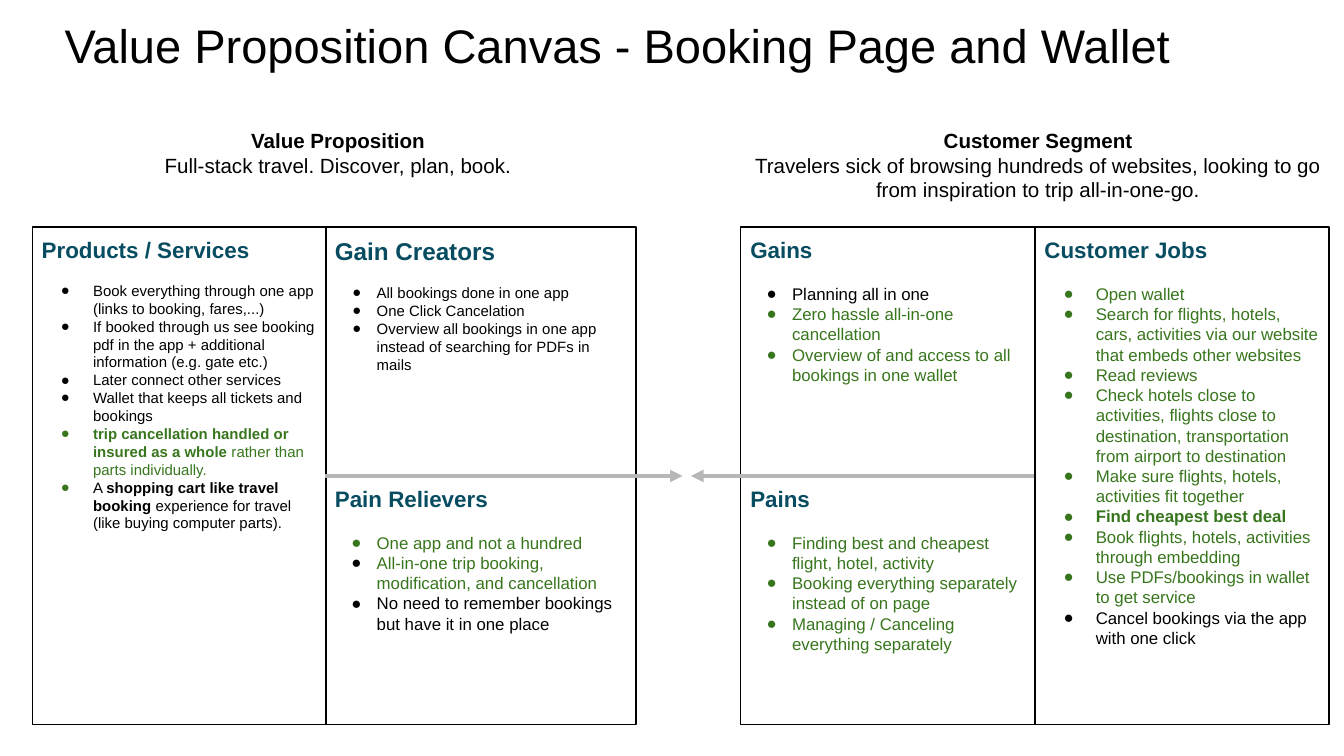
from lxml.etree import SubElement
from pptx import Presentation
from pptx.dml.color import RGBColor
from pptx.enum.shapes import MSO_CONNECTOR, MSO_SHAPE
from pptx.enum.text import MSO_ANCHOR, PP_ALIGN
from pptx.oxml.ns import qn
from pptx.util import Cm, Pt

COLORS = {"black": "000000", "green": "38761D", "teal": "084C61", "gray": "B7B7B7"}
FONT = "Arial"


def plain(text, color="green"):
    return color, [(text, color, False)]


class Canvas:
    def __init__(self, deck):
        self.slide = deck.slides.add_slide(deck.slide_layouts[6])

    def color(self, name):
        return RGBColor.from_string(COLORS[name])

    def run(self, para, text, size, color="black", bold=False):
        run = para.add_run()
        run.text = text
        font = run.font
        font.name, font.size, font.bold = FONT, Pt(size), bold
        font.color.rgb = self.color(color)

    def frame(self, shape, pad_x=0.18, pad_y=0.18, anchor=MSO_ANCHOR.TOP):
        frame = shape.text_frame
        frame.word_wrap = True
        frame.margin_left = frame.margin_right = Cm(pad_x)
        frame.margin_top = frame.margin_bottom = Cm(pad_y)
        frame.vertical_anchor = anchor
        return frame

    def area(self, left, top, width, height):
        return self.slide.shapes.add_textbox(Cm(left), Cm(top), Cm(width), Cm(height))

    def title(self, text):
        box = self.area(0.97, 0.43, 23.57, 0.81)
        frame = self.frame(box, 0.25, 0.13, MSO_ANCHOR.MIDDLE)
        self.run(frame.paragraphs[0], text, 25.2)

    def header(self, left, name, text):
        frame = self.frame(self.area(left, 2.24, 11.56, 1.63))
        for para, words, bold in ((frame.paragraphs[0], name, True),
                                  (frame.add_paragraph(), text, False)):
            para.alignment = PP_ALIGN.CENTER
            self.run(para, words, 11, bold=bold)

    def bullet(self, para, color, indent, hang):
        props = para._p.get_or_add_pPr()
        props.set("marL", str(Cm(indent)))
        props.set("indent", str(-Cm(hang)))
        tint = SubElement(props, qn("a:buClr"))
        SubElement(tint, qn("a:srgbClr"), val=COLORS[color])
        SubElement(props, qn("a:buFont"), typeface=FONT)
        SubElement(props, qn("a:buChar"), char="●")

    def panel(self, place, name, items, head=12, size=9, indent=0.79, hang=0.48):
        box = self.slide.shapes.add_shape(MSO_SHAPE.RECTANGLE, *map(Cm, place))
        box.shadow.inherit = False
        box.fill.background()
        box.line.color.rgb = self.color("black")
        box.line.width = Pt(0.75)
        frame = self.frame(box)
        first = frame.paragraphs[0]
        first.alignment = PP_ALIGN.LEFT
        self.run(first, name, head, "teal", True)
        for index, (dot, runs) in enumerate(items):
            para = frame.add_paragraph()
            self.bullet(para, dot, indent, hang)
            para.alignment = PP_ALIGN.LEFT
            para.space_before = Pt(0 if index else size * 1.2)
            for text, color, bold in runs:
                self.run(para, text, size, color, bold)

    def arrow(self, start, end, level):
        line = self.slide.shapes.add_connector(
            MSO_CONNECTOR.STRAIGHT, Cm(start), Cm(level), Cm(end), Cm(level))
        line.line.color.rgb = self.color("gray")
        line.line.width = Pt(2.25)
        SubElement(line.line._get_or_add_ln(), qn("a:tailEnd"), type="triangle")
        SubElement(line._element.spPr, qn("a:effectLst"))


def main():
    deck = Presentation()
    deck.slide_width, deck.slide_height = Cm(25.4), Cm(14.28)
    page = Canvas(deck)
    top, half = 4.29, 4.7
    mid, tall = top + half, 2 * half
    slim, wide = 5.56, 5.87
    left, gain, need, jobs = 0.61, 6.15, 14.0, 19.56
    deep = {"indent": 0.97, "hang": 0.61}

    page.title("Value Proposition Canvas - Booking Page and Wallet")
    page.panel((left, top, slim, tall), "Products / Services", [
        plain("Book everything through one app (links to booking, fares,...)", "black"),
        plain("If booked through us see booking pdf in the app + additional "
              "information (e.g. gate etc.)", "black"),
        plain("Later connect other services", "black"),
        plain("Wallet that keeps all tickets and bookings", "black"),
        ("green", [("trip cancellation handled or insured as a whole", "green", True),
                   (" rather than parts individually.", "green", False)]),
        ("green", [("A ", "black", False),
                   ("shopping cart like travel booking", "black", True),
                   (" experience for travel (like buying computer parts).", "black", False)]),
    ], size=8, **deep)
    page.panel((gain, mid, wide, half), "Pain Relievers", [
        plain("One app and not a hundred"),
        ("black", [("All-in-one trip booking, modification, and cancellation", "green", False)]),
        plain("No need to remember bookings but have it in one place", "black"),
    ])
    page.panel((gain, top, wide, half), "Gain Creators", [
        plain("All bookings done in one app", "black"),
        plain("One Click Cancelation", "black"),
        plain("Overview all bookings in one app instead of searching for PDFs in mails", "black"),
    ], head=13, size=8, hang=0.46)
    page.header(left, "Value Proposition", "Full-stack travel. Discover, plan, book.")
    page.header(13.84, "Customer Segment",
                "Travelers sick of browsing hundreds of websites, looking to go "
                "from inspiration to trip all-in-one-go.")
    page.panel((need, mid, slim, half), "Pains", [
        plain("Finding best and cheapest flight, hotel, activity"),
        plain("Booking everything separately instead of on page"),
        plain("Managing / Canceling everything separately"),
    ])
    page.panel((need, top, slim, half), "Gains", [
        plain("Planning all in one", "black"),
        plain("Zero hassle all-in-one cancellation"),
        plain("Overview of and access to all bookings in one wallet"),
    ])
    page.arrow(gain, 12.9, mid)
    page.arrow(jobs, 13.06, mid)
    page.panel((jobs, top, slim, tall), "Customer Jobs", [
        plain("Open wallet"),
        plain("Search for flights, hotels, cars, activities via our website "
              "that embeds other websites"),
        plain("Read reviews"),
        plain("Check hotels close to activities, flights close to destination, "
              "transportation from airport to destination"),
        plain("Make sure flights, hotels, activities fit together"),
        ("green", [("Find cheapest best deal", "green", True)]),
        plain("Book flights, hotels, activities through embedding"),
        plain("Use PDFs/bookings in wallet to get service"),
        plain("Cancel bookings via the app with one click", "black"),
    ], **deep)
    deck.save("out.pptx")


if __name__ == "__main__":
    main()
